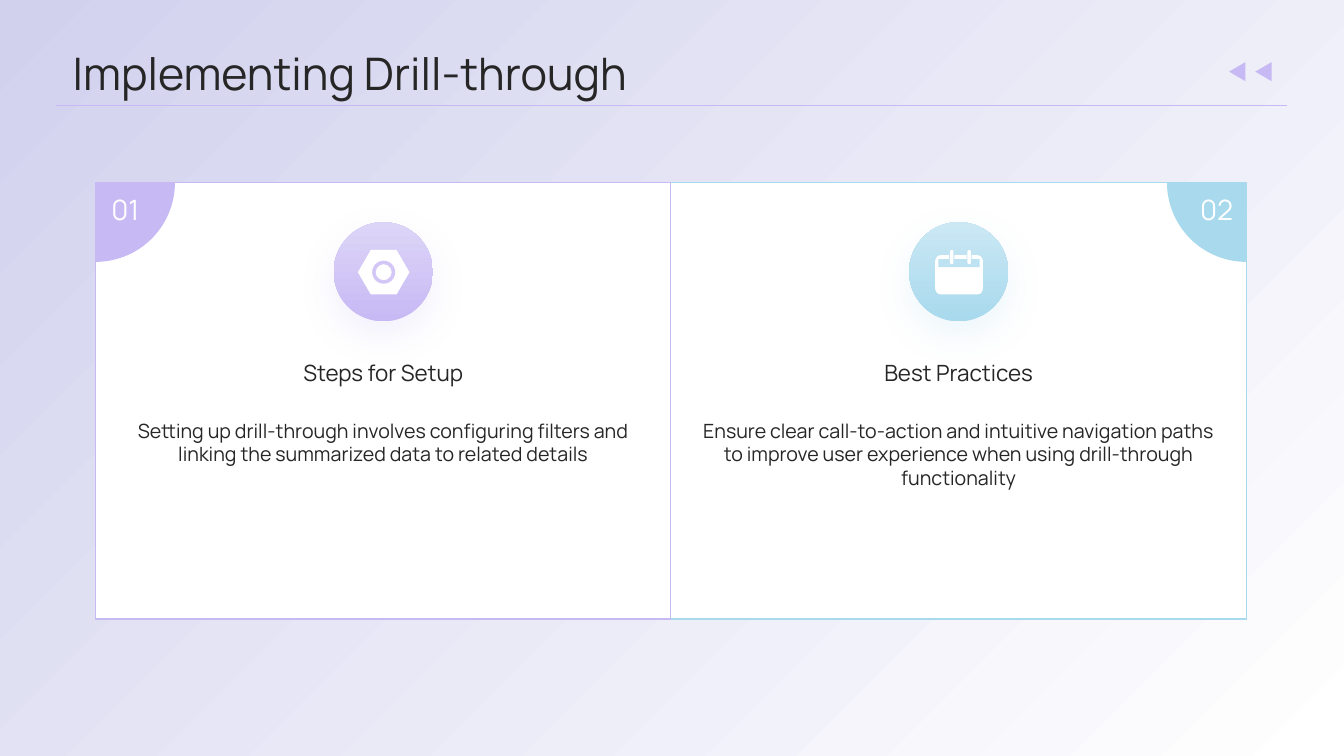
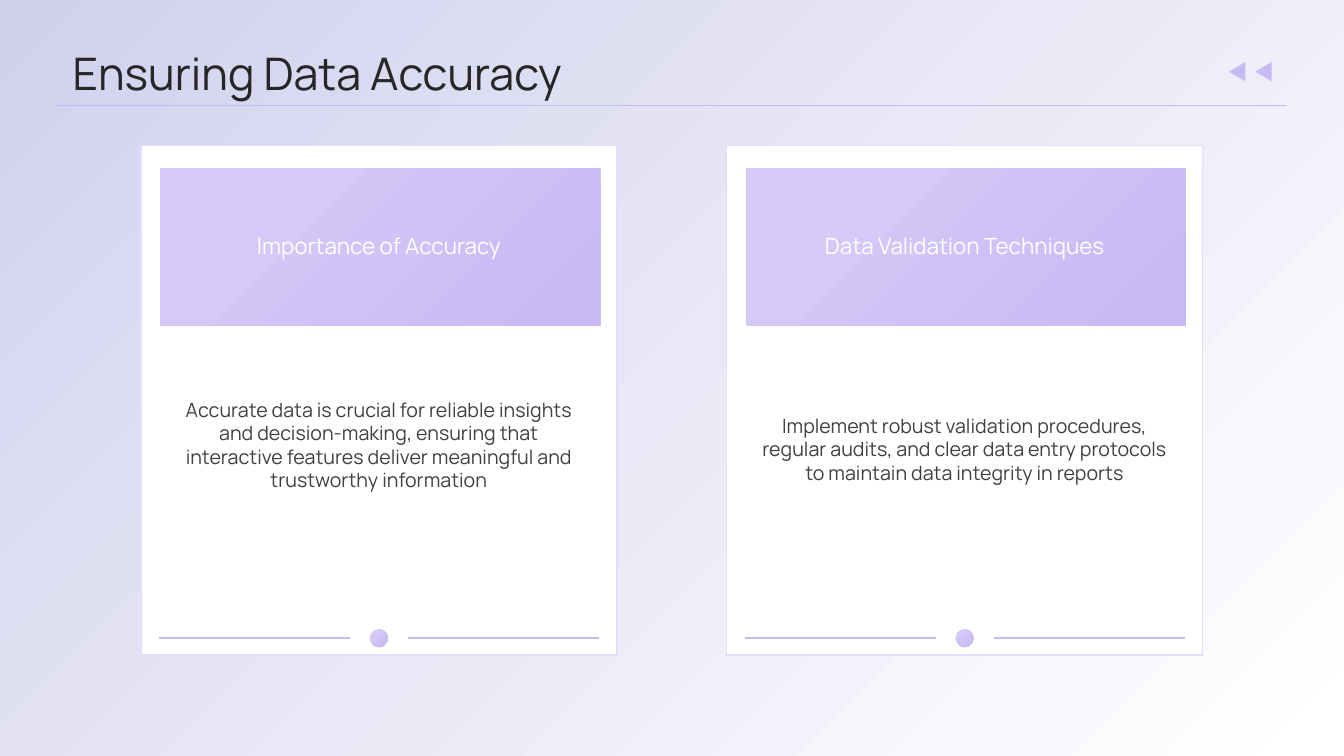
import math
from lxml import etree
from pptx import Presentation, util as u
from pptx.dml.color import RGBColor
from pptx.enum import shapes, text
from pptx.oxml.ns import qn

LILAC, SKY, WHITE, INK, GREY = "C7B9F4", "A8D9ED", "FFFFFF", "262626", "404040"
PALE_LILAC, PALE_SKY, SOFT_LILAC = "DDD5F8", "CBE8F4", "D6CBF7"
FONT = "Manrope"
KIND = shapes.MSO_SHAPE
MIDDLE, TOP = text.MSO_ANCHOR.MIDDLE, text.MSO_ANCHOR.TOP
CENTER, LEFT = text.PP_ALIGN.CENTER, text.PP_ALIGN.LEFT


def paint(shape, fills=(), line=None, weight=0.75, angle=315, stops=(0, 1)):
    if len(fills) == 1:
        shape.fill.solid()
        shape.fill.fore_color.rgb = RGBColor.from_string(fills[0])
    elif fills:
        shape.fill.gradient()
        shape.fill.gradient_angle = angle
        for stop, colour, position in zip(shape.fill.gradient_stops, fills, stops):
            stop.color.rgb = RGBColor.from_string(colour)
            stop.position = position
    if line:
        shape.line.color.rgb = RGBColor.from_string(line)
        shape.line.width = u.Pt(weight)
    else:
        shape.line.fill.background()
    return etree.SubElement(shape._element.spPr, qn("a:effectLst"))


def write(slide, box, words, size, colour, anchor=TOP, align=CENTER, inset=0):
    frame = slide.shapes.add_textbox(*map(u.Cm, box)).text_frame
    frame.word_wrap = True
    frame.vertical_anchor = anchor
    frame.margin_left = frame.margin_right = u.Cm(inset)
    frame.margin_top = frame.margin_bottom = u.Cm(inset / 2)
    paragraph = frame.paragraphs[0]
    paragraph.alignment = align
    run = paragraph.add_run()
    run.text = words
    run.font.name = FONT
    run.font.size = u.Pt(size)
    run.font.color.rgb = RGBColor.from_string(colour)


deck = Presentation()
deck.slide_width, deck.slide_height = u.Cm(33.87), u.Cm(19.05)

slides = []
for title in ("Implementing Drill-through", "Ensuring Data Accuracy"):
    slide = deck.slides.add_slide(deck.slide_layouts[6])
    backdrop = slide.shapes.add_shape(KIND.RECTANGLE, 0, 0, deck.slide_width, deck.slide_height)
    paint(backdrop, ("D1D1EE", WHITE))
    write(slide, (1.83, 1.17, 30.18, 1.3), title, 32, INK, MIDDLE, LEFT)
    rule = slide.shapes.add_connector(
        shapes.MSO_CONNECTOR.STRAIGHT, u.Cm(1.42), u.Cm(2.66), u.Cm(32.43), u.Cm(2.66))
    paint(rule, line=LILAC)
    for left in (30.94, 31.6):
        arrow = slide.shapes.add_shape(
            KIND.ISOSCELES_TRIANGLE, u.Cm(left), u.Cm(1.6), u.Cm(0.48), u.Cm(0.41))
        arrow.rotation = 270
        paint(arrow, (LILAC,))
    slides.append(slide)
drill, accuracy = slides

card_top, card_width, card_height = 4.6, 14.5, 11
corner_radius, badge_size, number_width = 2, 2.5, 1.5
nut_icon = [
    (KIND.HEXAGON, (9.02, 6.3, 1.3, 1.12), 0.29, WHITE),
    (KIND.DONUT, (9.38, 6.57, 0.58, 0.58), 0.15, "D2C7F6"),
]
calendar_icon = [
    (KIND.ROUNDED_RECTANGLE, (23.57, 6.43, 1.2, 0.99), 0.14, WHITE),
    (KIND.RECTANGLE, (23.65, 6.53, 1.04, 0.2), None, "BDE2F1"),
]
for tab in (23.94, 24.38):
    calendar_icon += [
        (KIND.RECTANGLE, (tab - 0.02, 6.43, 0.13, 0.12), None, "BEE3F1"),
        (KIND.ROUNDED_RECTANGLE, (tab, 6.3, 0.09, 0.36), 0.5, WHITE),
    ]
practices = [
    (16.91, -1, "02", SKY, PALE_SKY, calendar_icon, "Best Practices",
     "Ensure clear call-to-action and intuitive navigation paths to improve user "
     "experience when using drill-through functionality"),
    (2.41, 1, "01", LILAC, PALE_LILAC, nut_icon, "Steps for Setup",
     "Setting up drill-through involves configuring filters and linking the "
     "summarized data to related details"),
]
for left, inward, number, accent, pale, icon, heading, body in practices:
    card = drill.shapes.add_shape(
        KIND.RECTANGLE, u.Cm(left), u.Cm(card_top), u.Cm(card_width), u.Cm(card_height))
    paint(card, (WHITE,), accent)

    edge = left if inward > 0 else left + card_width
    arc = []
    for degrees in range(0, 91, 3):
        turn = math.radians(degrees)
        arc.append((u.Cm(edge + inward * corner_radius * math.cos(turn)),
                    u.Cm(card_top + corner_radius * math.sin(turn))))
    outline = drill.shapes.build_freeform(u.Cm(edge), u.Cm(card_top))
    outline.add_line_segments(arc, close=True)
    paint(outline.convert_to_shape(), (accent,))
    number_left = edge if inward > 0 else edge - number_width
    write(drill, (number_left, 4.85, number_width, 1.1), number, 20, WHITE)

    badge = drill.shapes.add_shape(
        KIND.OVAL, u.Cm(left + (card_width - badge_size) / 2), u.Cm(card_top + 1),
        u.Cm(badge_size), u.Cm(badge_size))
    effects = paint(badge, (accent, pale), angle=90)
    glow = etree.SubElement(
        effects, qn("a:outerShdw"), blurRad=str(u.Pt(25)), dist=str(u.Pt(10)),
        dir="5400000", algn="t", rotWithShape="0")
    tint = etree.SubElement(glow, qn("a:srgbClr"), val=accent)
    etree.SubElement(tint, qn("a:alpha"), val="20000")

    for kind, box, adjustment, colour in icon:
        part = drill.shapes.add_shape(kind, *map(u.Cm, box))
        if adjustment is not None:
            part.adjustments[0] = adjustment
        paint(part, (colour,))

    write(drill, (left + 0.75, 8.79, 13, 1.2), heading, 16, INK, MIDDLE)
    write(drill, (left + 0.75, 10.55, 13, 4.7), body, 14, INK)

topics = [
    (3.55, 8.71, "Importance of Accuracy",
     "Accurate data is crucial for reliable insights and decision-making, ensuring "
     "that interactive features deliver meaningful and trustworthy information"),
    (18.31, 8.81, "Data Validation Techniques",
     "Implement robust validation procedures, regular audits, and clear data entry "
     "protocols to maintain data integrity in reports"),
]
for left, body_top, heading, body in topics:
    panel = accuracy.shapes.add_shape(
        KIND.RECTANGLE, u.Cm(left), u.Cm(3.66), u.Cm(12), u.Cm(12.85))
    paint(panel, (WHITE,), "E3DCFA", 1)
    for kind, box in (
        (KIND.RECTANGLE, (left + 0.48, 4.24, 11.1, 3.96)),
        (KIND.OVAL, (left + 5.77, 15.85, 0.46, 0.46)),
    ):
        accent_part = accuracy.shapes.add_shape(kind, *map(u.Cm, box))
        paint(accent_part, (SOFT_LILAC, LILAC), stops=(0.18, 0.93))
    for start in (left + 0.46, left + 6.74):
        dash = accuracy.shapes.add_connector(
            shapes.MSO_CONNECTOR.STRAIGHT,
            u.Cm(start), u.Cm(16.08), u.Cm(start + 4.81), u.Cm(16.08))
        paint(dash, line=LILAC, weight=1)
    write(accuracy, (left + 0.5, 4.7, 11, 3), heading, 16, WHITE, MIDDLE)
    write(accuracy, (left + 0.5, body_top, 11, 5), body, 14, GREY, MIDDLE, inset=0.25)

deck.save("out.pptx")
